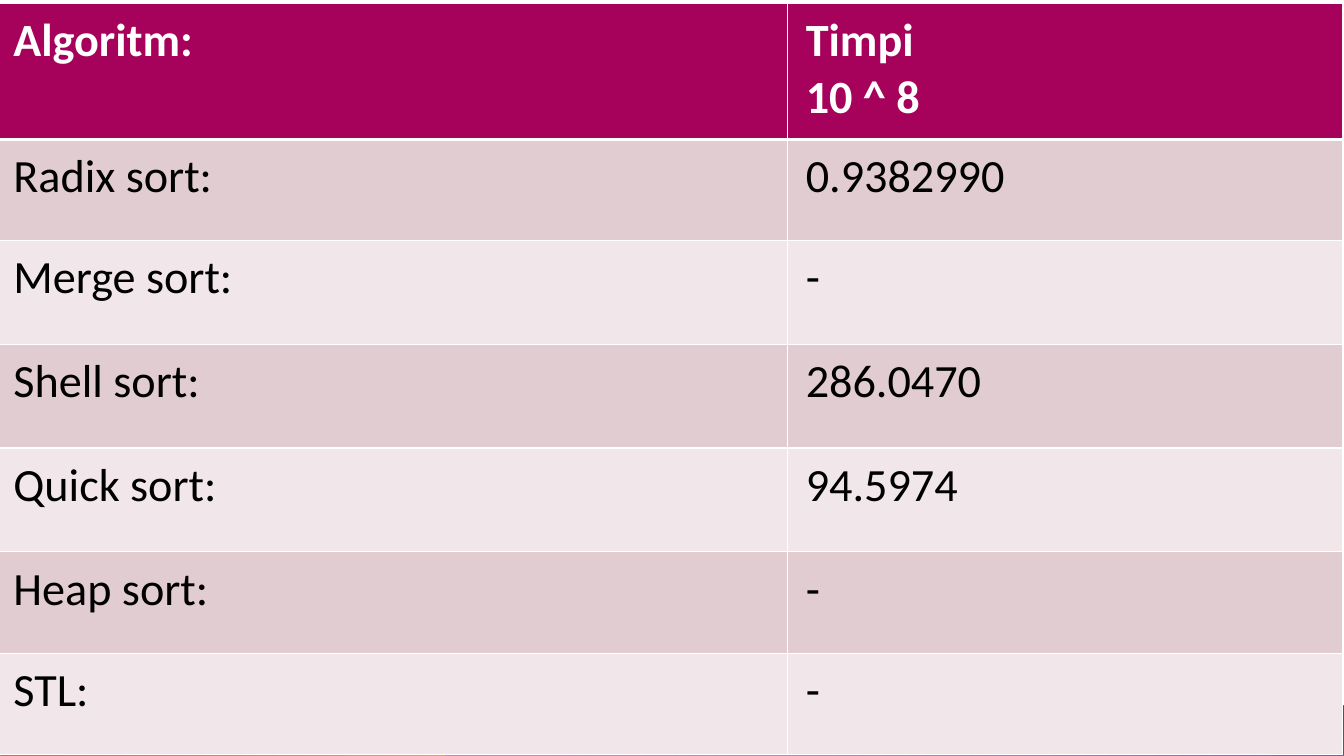
from dataclasses import dataclass

from lxml.etree import SubElement
from pptx import Presentation
from pptx.dml.color import RGBColor as Color
from pptx.enum.shapes import MSO_SHAPE as Shape
from pptx.oxml import parse_xml
from pptx.oxml.ns import nsdecls, qn
from pptx.util import Pt


@dataclass(frozen=True)
class Theme:
    font: str = "Calibri"
    size: float = 33
    header: str = "A6025C"
    odd_row: str = "E1CCD2"
    even_row: str = "F1E7EA"
    white: str = "FFFFFF"
    black: str = "000000"
    warm: tuple = ((14, "FE4A00", 28), (100, "DA002F", 85))
    violet: tuple = ((9, "D861D4", 55), (99, "92248E", 100))


THEME = Theme()
SLIDE_WIDTH, SLIDE_HEIGHT = 960, 540
COLUMN_WIDTHS = (566, 396.6)
ROW_HEIGHTS = (97.2, 72, 74.2, 74.2, 74.2, 72.7, 72)
TIMES = (
    ("Algoritm:", "Timpi \n10 ^ 8"),
    ("Radix sort:", "0.9382990"),
    ("Merge sort:", "-"),
    ("Shell sort:", "286.0470"),
    ("Quick sort:", "94.5974"),
    ("Heap sort:", "-"),
    ("STL: ", "-"),
)


def write_text(frame, text, *, color, bold=False, size=THEME.size):
    frame.text = text
    for para in frame.paragraphs:
        for span in para.runs:
            span.font.name = THEME.font
            span.font.size = Pt(size)
            span.font.bold = bold
            span.font.color.rgb = Color.from_string(color)


def add_band(page, box, stops, angle, rotation=0):
    band = page.shapes.add_shape(Shape.RECTANGLE, *map(Pt, box))
    band.shadow.inherit = False
    band.line.fill.background()
    band.rotation = rotation
    band.element.spPr.xfrm.set("flipH", "1")
    band.fill.gradient()
    band.fill.gradient_angle = 360 - angle
    for stop, (position, color, opacity) in zip(band.fill.gradient_stops, stops):
        stop.position = position / 100
        stop.color.rgb = Color.from_string(color)
    tints = band.element.spPr.iter(qn("a:srgbClr"))
    for tint, (_, _, opacity) in zip(tints, stops):
        SubElement(tint, qn("a:alpha")).set("val", str(opacity * 1000))


def set_borders(cell, bottom, top):
    properties = cell._tc.get_or_add_tcPr()
    widths = {"lnL": 1, "lnR": 1, "lnT": top, "lnB": bottom}
    for index, (side, width) in enumerate(widths.items()):
        properties.insert(index, parse_xml(
            f'<a:{side} {nsdecls("a")} w="{Pt(width)}"><a:solidFill>'
            f'<a:srgbClr val="{THEME.white}"/></a:solidFill></a:{side}>'))


def format_cell(cell, text, row):
    is_header = row == 0
    fill = THEME.header if is_header else (THEME.even_row, THEME.odd_row)[row % 2]
    cell.margin_left = cell.margin_right = Pt(13.2)
    cell.margin_top = cell.margin_bottom = Pt(6.6)
    cell.fill.solid()
    cell.fill.fore_color.rgb = Color.from_string(fill)
    set_borders(cell, bottom=3 if is_header else 1, top=3 if row == 1 else 1)
    write_text(cell.text_frame, text, bold=is_header,
               color=THEME.white if is_header else THEME.black)


def add_times_table(page, left, top):
    box = (left, top, sum(COLUMN_WIDTHS), sum(ROW_HEIGHTS))
    table = page.shapes.add_table(len(TIMES), len(COLUMN_WIDTHS), *map(Pt, box)).table
    for column, width in zip(table.columns, COLUMN_WIDTHS):
        column.width = Pt(width)
    for row, (height, texts) in enumerate(zip(ROW_HEIGHTS, TIMES)):
        table.rows[row].height = Pt(height)
        for column, text in enumerate(texts):
            format_cell(table.cell(row, column), text, row)


def add_footer_bands(page, left, top, width, height):
    add_band(page, (left, top, width, height), THEME.warm, 100, rotation=180)
    violet_left = 318
    add_band(page, (left + violet_left, top, width - violet_left, height),
             THEME.violet, 240)


def main():
    deck = Presentation()
    deck.slide_width, deck.slide_height = Pt(SLIDE_WIDTH), Pt(SLIDE_HEIGHT)
    page = deck.slides.add_slide(deck.slide_layouts[6])
    add_footer_bands(page, 0, SLIDE_HEIGHT - 36, SLIDE_WIDTH, 36)
    add_times_table(page, -3.6, 2.4)
    deck.save("out.pptx")


if __name__ == "__main__":
    main()
